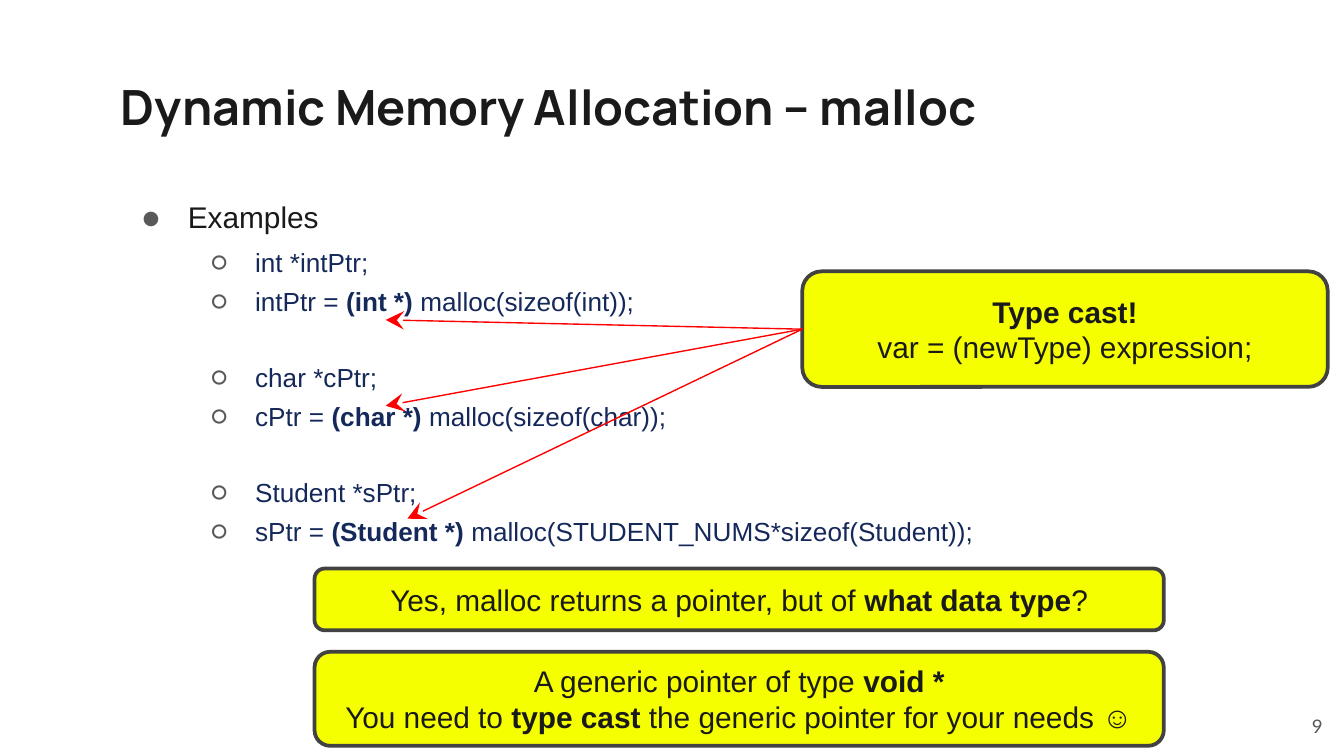
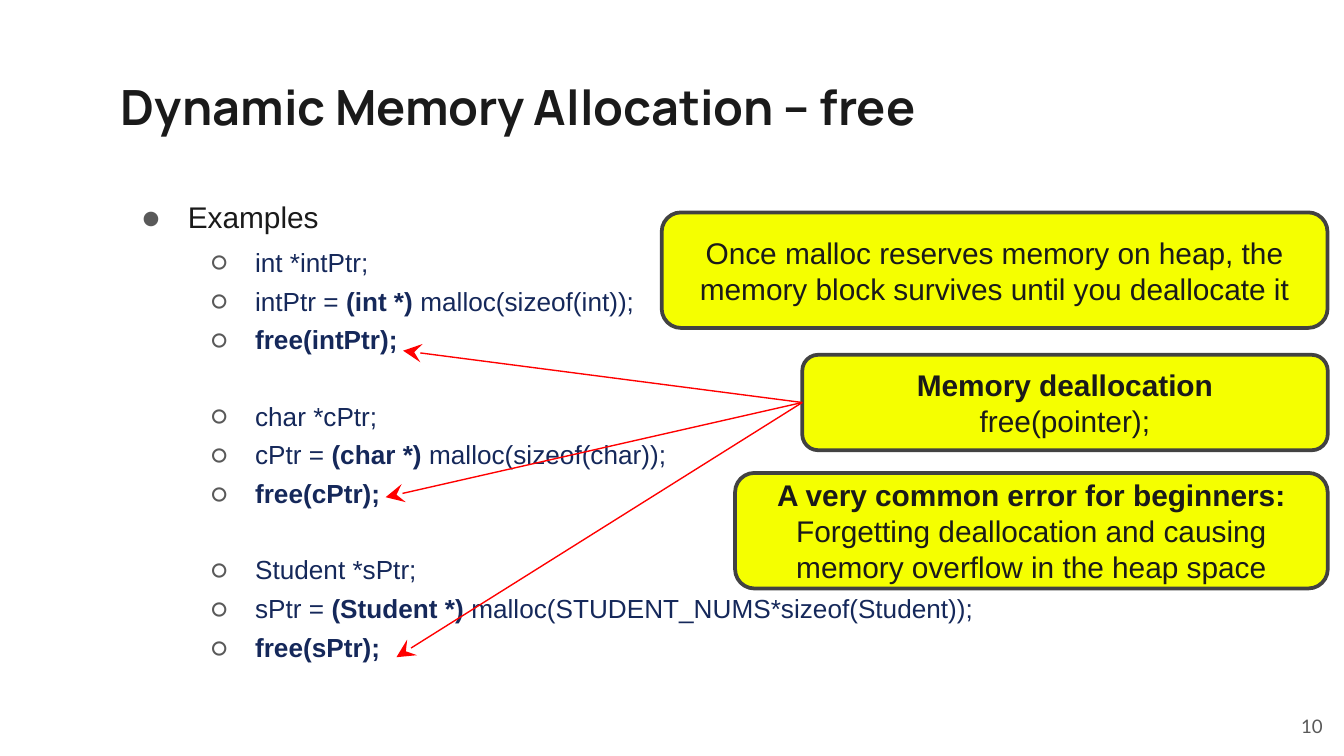
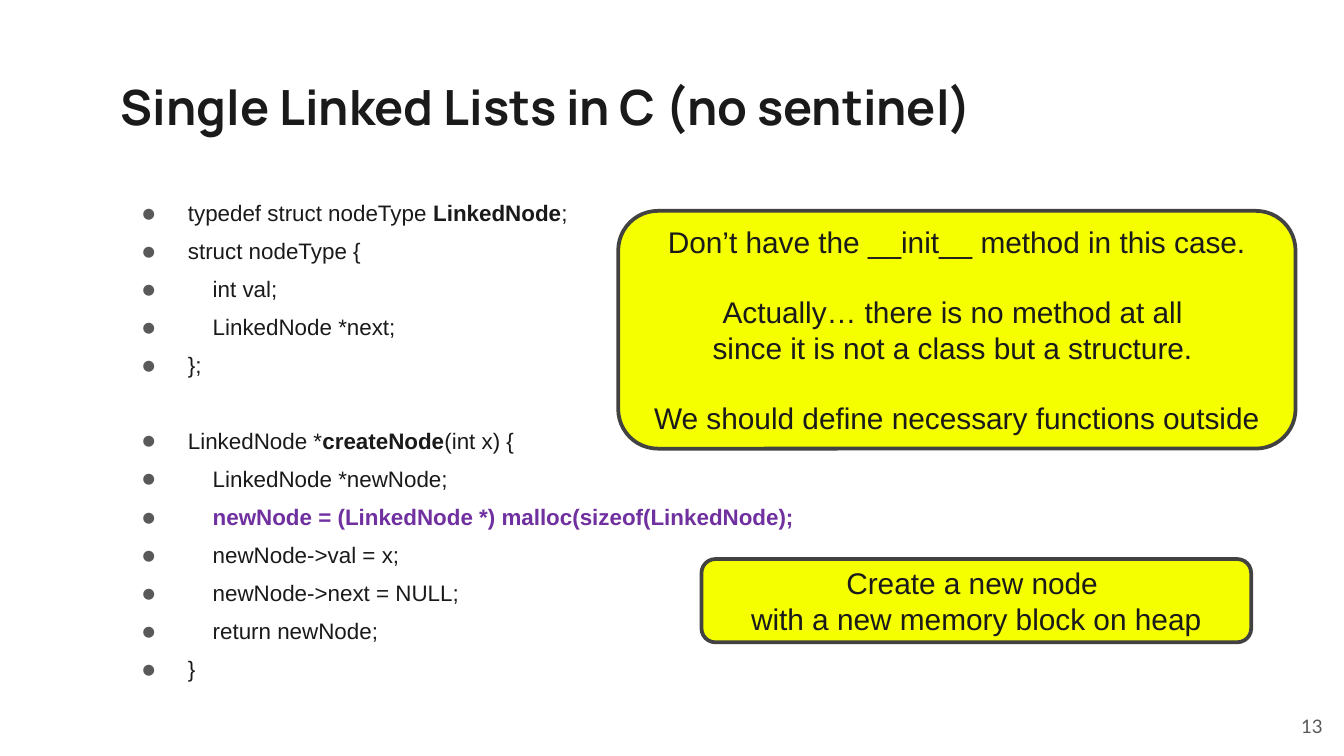
from itertools import cycle

from lxml.etree import SubElement
from pptx import Presentation
from pptx.dml.color import RGBColor
from pptx.enum.shapes import MSO_CONNECTOR as Line, MSO_SHAPE as Preset
from pptx.enum.text import MSO_ANCHOR as Anchor, MSO_AUTO_SIZE as Fit, PP_ALIGN as Align
from pptx.oxml.ns import qn
from pptx.util import Pt

# Text marked off by bars is bold; an inner list starts after a gap.
SLIDES = [
    {
        "title": "Dynamic Memory Allocation – malloc",
        "number": "9",
        "body_width": 501.8,
        "body": [
            [("topic", "Examples"),
             ("code", "int *intPtr;"),
             ("code", "intPtr = |(int *) |malloc(sizeof(int));")],
            [("code", "char *cPtr;"),
             ("code", "cPtr = |(char *) |malloc(sizeof(char));")],
            [("code", "Student *sPtr;"),
             ("code", "sPtr = |(Student *) |malloc(STUDENT_NUMS*sizeof(Student));")],
        ],
        "callouts": [
            {"at": (168.5, 304.6, 455, 33.1),
             "text": [["Yes, malloc returns a pointer, but of |what data type|?"]]},
            {"at": (429.8, 145.4, 281.5, 61.9),
             "text": [["|Type cast!|", "var = (newType) expression;"]],
             "targets": [(206.6, 171.4), (206.6, 217.4), (218.2, 277.9)]},
            {"at": (168.5, 349.2, 455, 50.4),
             "text": [["A generic pointer of type |void *|",
                       "You need to |type cast |the generic pointer for your needs ☺"]]},
        ],
    },
    {
        "title": "Dynamic Memory Allocation – free",
        "number": "10",
        "body_width": 501.8,
        "body": [
            [("topic", "Examples"),
             ("code", "int *intPtr;"),
             ("code", "intPtr = |(int *) |malloc(sizeof(int));"),
             ("code", "|free(intPtr);|")],
            [("code", "char *cPtr;"),
             ("code", "cPtr = |(char *) |malloc(sizeof(char));"),
             ("code", "|free(cPtr);|")],
            [("code", "Student *sPtr;"),
             ("code", "sPtr = |(Student *) |malloc(STUDENT_NUMS*sizeof(Student));"),
             ("code", "|free(sPtr);|")],
        ],
        "callouts": [
            {"at": (429.8, 190.1, 281.5, 51.1),
             "text": [["|Memory deallocation|", "free(pointer);"]],
             "targets": [(216, 187.9), (206.6, 266.4), (212.4, 352.1)]},
            {"at": (393.8, 253.4, 317.5, 61.9),
             "text": [["|A very common error for beginners: |Forgetting deallocation "
                       "and causing memory overflow in the heap space"]]},
            {"at": (354.5, 113.8, 356.7, 61.9),
             "text": [["Once malloc reserves memory on heap, the memory block "
                       "survives until you deallocate it"]]},
        ],
    },
    {
        "title": "Single Linked Lists in C (no sentinel)",
        "number": "13",
        "body_width": 614.9,
        "body": [
            [("struct", "typedef struct nodeType |LinkedNode|;"),
             ("struct", "struct nodeType {"),
             ("nested", "int val;"),
             ("nested", "LinkedNode *next;"),
             ("struct", "};")],
            [("struct", "LinkedNode *|createNode|(int x) {"),
             ("nested", "LinkedNode *newNode;"),
             ("accent", "|newNode = (LinkedNode *) malloc(sizeof(LinkedNode);|"),
             ("nested", "newNode->val = x;"),
             ("nested", "newNode->next = NULL;"),
             ("nested", "return newNode;"),
             ("struct", "}")],
        ],
        "callouts": [
            {"at": (331.2, 113, 362.9, 127.4),
             "text": [["Don’t have the __init__ method in this case."],
                      ["Actually… there is no method at all ",
                       "since it is not a class but a structure. "],
                      ["We should define necessary functions outside"]]},
            {"at": (375.8, 299.5, 294.5, 44.6),
             "text": [["Create a new node ", "with a new memory block on heap"]]},
        ],
    },
]

INK, NAVY, GREY = "1A1A1A", "15285A", "595959"
THEME = {
    "callout_fill": "F5FF00",
    "callout_line": "424242",
    "arrow": "FF0000",
    "title": {"name": "Manrope", "size": 26, "color": INK},
    "number": {"name": "Lato", "size": 10, "color": GREY},
    "callout": {"name": "Arial", "size": 16, "color": INK},
    "topic": {"name": "Arial", "size": 16, "color": INK},
    "code": {"name": "Arial", "size": 14, "color": NAVY},
    "struct": {"name": "Arial", "size": 12, "color": INK},
    "nested": {"name": "Arial", "size": 12, "color": INK},
    "accent": {"name": "Arial", "size": 12, "color": "7030A0"},
}

# level, bullet, bullet position, text position, space after
OUTER = (0, "●", 11.5, 36, 6)
INNER = (0, "●", 11.5, 49.3, 6)
LISTS = {"topic": OUTER, "struct": OUTER, "nested": INNER, "accent": INNER,
         "code": (1, "○", 48.2, 72, 4)}

TITLE_AT = (57.6, 33.8, 605.5, 49)
BODY_LEFT, BODY_TOP, BODY_HEIGHT = 57.6, 99.4, 258.5
NUMBER_AT = (672.5, 373.7, 43.2, 31)
BODY_GAP, CALLOUT_GAP = 20, 18.4


def points(values):
    return [Pt(value) for value in values]


def rgb(code):
    return RGBColor.from_string(code)


def set_all(target, values):
    for name, value in values.items():
        setattr(target, name, value)


def set_frame(frame, anchor=Anchor.TOP, side=7.2, edge=7.2):
    set_all(frame, {
        "word_wrap": True, "auto_size": Fit.NONE, "vertical_anchor": anchor,
        "margin_left": Pt(side), "margin_right": Pt(side),
        "margin_top": Pt(edge), "margin_bottom": Pt(edge),
    })


def write(para, text, style, bold=False):
    """Add runs to the paragraph, switching bold at every bar."""
    look = THEME[style]
    for piece, marked in zip(text.split("|"), cycle((False, True))):
        if piece:
            span = para.add_run()
            span.text = piece
            set_all(span.font, {"name": look["name"], "size": Pt(look["size"]),
                                "bold": bold or marked})
            span.font.color.rgb = rgb(look["color"])


def spaced(frame, groups, gap):
    """Yield a paragraph for each line, with a gap before every later group."""
    para = None
    for group_index, group in enumerate(groups):
        for line_index, line in enumerate(group):
            para = frame.add_paragraph() if para else frame.paragraphs[0]
            para.space_before = Pt(gap if group_index and not line_index else 0)
            yield para, line


def add_bullet(para, style):
    level, bullet, bullet_at, text_at, after = LISTS[style]
    set_all(para, {"level": level, "space_after": Pt(after), "alignment": Align.LEFT})
    props = para._p.get_or_add_pPr()
    props.set("marL", str(Pt(text_at)))
    props.set("indent", str(Pt(bullet_at - text_at)))
    color = SubElement(props, qn("a:buClr"))
    SubElement(color, qn("a:srgbClr"), val=GREY)
    SubElement(props, qn("a:buFont"), typeface="Lato")
    SubElement(props, qn("a:buChar"), char=bullet)


def add_title(page, text):
    title = page.shapes.title
    set_all(title, dict(zip(("left", "top", "width", "height"), points(TITLE_AT))))
    set_frame(title.text_frame)
    para = title.text_frame.paragraphs[0]
    para.alignment = Align.LEFT
    write(para, text, "title", bold=True)


def add_body(page, groups, width):
    box = page.shapes.add_textbox(*points((BODY_LEFT, BODY_TOP, width, BODY_HEIGHT)))
    set_frame(box.text_frame)
    for para, (style, text) in spaced(box.text_frame, groups, BODY_GAP):
        add_bullet(para, style)
        write(para, text, style)


def add_number(page, text):
    box = page.shapes.add_textbox(*points(NUMBER_AT))
    set_frame(box.text_frame, Anchor.MIDDLE)
    para = box.text_frame.paragraphs[0]
    para.alignment = Align.RIGHT
    write(para, text, "number")


def add_arrow(page, box, target):
    """Draw an arrow from the middle of the box's left side to the target."""
    start = box.left, box.top + box.height // 2
    arrow = page.shapes.add_connector(Line.STRAIGHT, *start, *points(target))
    arrow.begin_connect(box, 1)
    arrow.line.color.rgb = rgb(THEME["arrow"])
    arrow.line.width = Pt(0.75)
    SubElement(arrow.line._get_or_add_ln(), qn("a:tailEnd"),
               type="stealth", w="lg", len="lg")
    SubElement(arrow._element.spPr, qn("a:effectLst"))


def add_callout(page, at, text, targets=()):
    box = page.shapes.add_shape(Preset.ROUNDED_RECTANGLE, *points(at))
    box.shadow.inherit = False
    box.fill.solid()
    box.fill.fore_color.rgb = rgb(THEME["callout_fill"])
    box.line.color.rgb = rgb(THEME["callout_line"])
    box.line.width = Pt(2)
    set_frame(box.text_frame, Anchor.MIDDLE, edge=3.6)
    for para, line in spaced(box.text_frame, text, CALLOUT_GAP):
        para.alignment = Align.CENTER
        write(para, line, "callout")
    for target in targets:
        add_arrow(page, box, target)


def main():
    deck = Presentation()
    set_all(deck, {"slide_width": Pt(720), "slide_height": Pt(405)})
    title_only = deck.slide_layouts[5]
    for content in SLIDES:
        page = deck.slides.add_slide(title_only)
        add_title(page, content["title"])
        add_body(page, content["body"], content["body_width"])
        add_number(page, content["number"])
        for callout in content["callouts"]:
            add_callout(page, **callout)
    deck.save("out.pptx")


if __name__ == "__main__":
    main()
